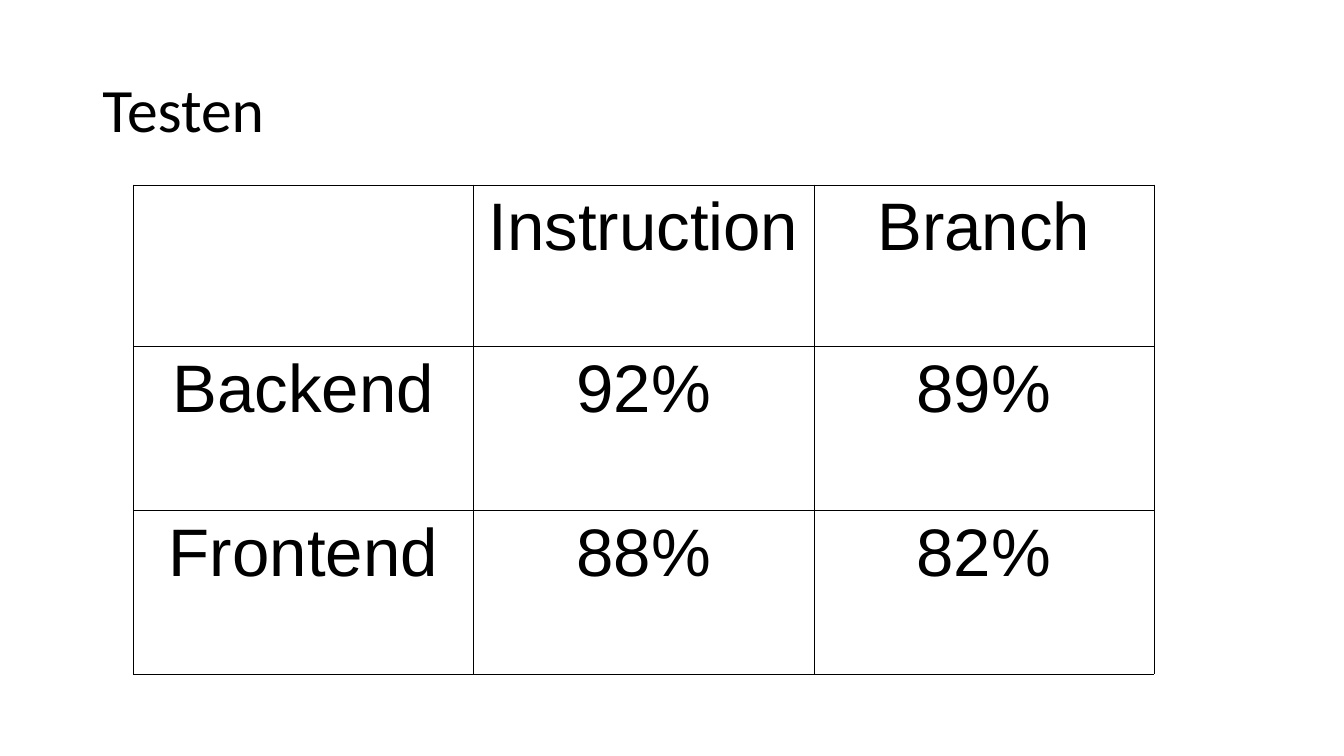
"""Build the test coverage slide."""
import dataclasses

import lxml.etree
import pptx
import pptx.dml.color
import pptx.enum.text
import pptx.oxml.ns
import pptx.util

PX = 9525
COVERAGE = [
    ["", "Instruction", "Branch"],
    ["Backend", "92%", "89%"],
    ["Frontend", "88%", "82%"],
]


@dataclasses.dataclass(frozen=True)
class Theme:
    """Hold the colours, fonts and type sizes of the slide."""

    ink: str = "000000"
    title_font: str = "Calibri"
    title_size: int = 44
    table_font: str = "Arial"
    table_size: int = 48
    border_width: float = 0.06


THEME = Theme()


def px(length):
    """Turn whole pixels into EMU."""
    return pptx.util.Emu(length * PX)


def style_text(paragraph, font_name, size, align):
    """Format a paragraph and its runs."""
    paragraph.alignment = align
    for run in paragraph.runs:
        run.font.name = font_name
        run.font.size = pptx.util.Pt(size)
        run.font.bold = False
        run.font.color.rgb = pptx.dml.color.RGBColor.from_string(THEME.ink)


def set_title(slide, text, left, top, width, height):
    """Place and format the title placeholder."""
    title = slide.shapes.title
    title.left, title.top, title.width, title.height = map(px, (left, top, width, height))
    frame = title.text_frame
    frame.text = text
    frame.word_wrap = True
    frame.auto_size = pptx.enum.text.MSO_AUTO_SIZE.NONE
    frame.vertical_anchor = pptx.enum.text.MSO_ANCHOR.MIDDLE
    heading = frame.paragraphs[0]
    heading.line_spacing = 0.9
    style_text(heading, THEME.title_font, THEME.title_size, pptx.enum.text.PP_ALIGN.LEFT)


def add_borders(cell):
    """Draw a thin line on all four sides of a cell."""
    qn = pptx.oxml.ns.qn
    properties = cell._tc.get_or_add_tcPr()
    width = str(int(pptx.util.Pt(THEME.border_width)))
    for side in ("lnL", "lnR", "lnT", "lnB"):
        border = lxml.etree.SubElement(properties, qn(f"a:{side}"), w=width)
        fill = lxml.etree.SubElement(border, qn("a:solidFill"))
        lxml.etree.SubElement(fill, qn("a:srgbClr"), val=THEME.ink)


def add_grid(slide, values, left, top, column_width, row_heights):
    """Add a plain bordered table with centred text."""
    columns = len(values[0])
    table = slide.shapes.add_table(
        len(values), columns, px(left), px(top),
        px(column_width * columns), px(sum(row_heights)),
    ).table
    table.first_row = False
    table.horz_banding = False
    for column in table.columns:
        column.width = px(column_width)
    for row, height, labels in zip(table.rows, row_heights, values):
        row.height = px(height)
        for cell, label in zip(row.cells, labels):
            add_borders(cell)
            cell.fill.background()
            cell.text_frame.text = label
            style_text(cell.text_frame.paragraphs[0], THEME.table_font,
                       THEME.table_size, pptx.enum.text.PP_ALIGN.CENTER)


def main():
    """Build and save the presentation."""
    presentation = pptx.Presentation()
    presentation.slide_width = px(1280)
    presentation.slide_height = px(720)
    slide = presentation.slides.add_slide(presentation.slide_layouts[5])
    set_title(slide, "Testen", 88, 38, 1104, 139)
    add_grid(slide, COVERAGE, 127, 176, 324, [154, 156, 156])
    presentation.save("out.pptx")


if __name__ == "__main__":
    main()
